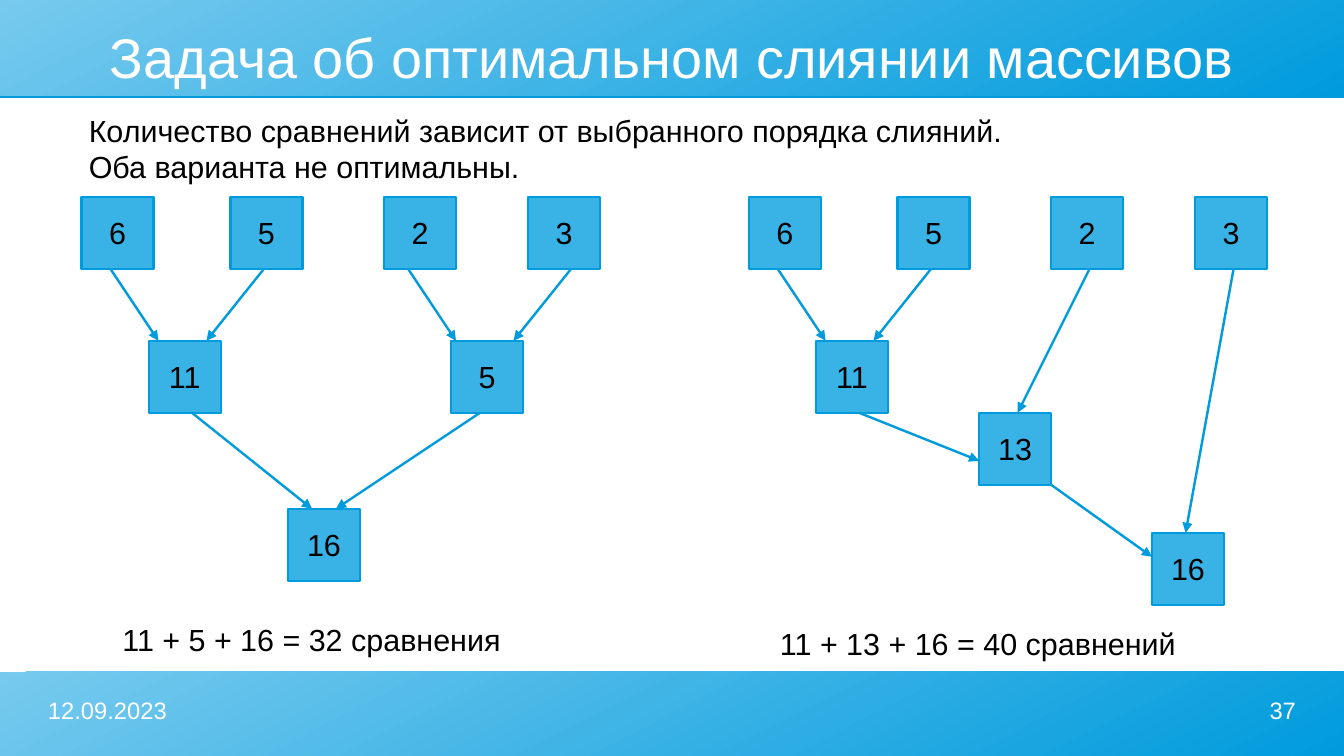
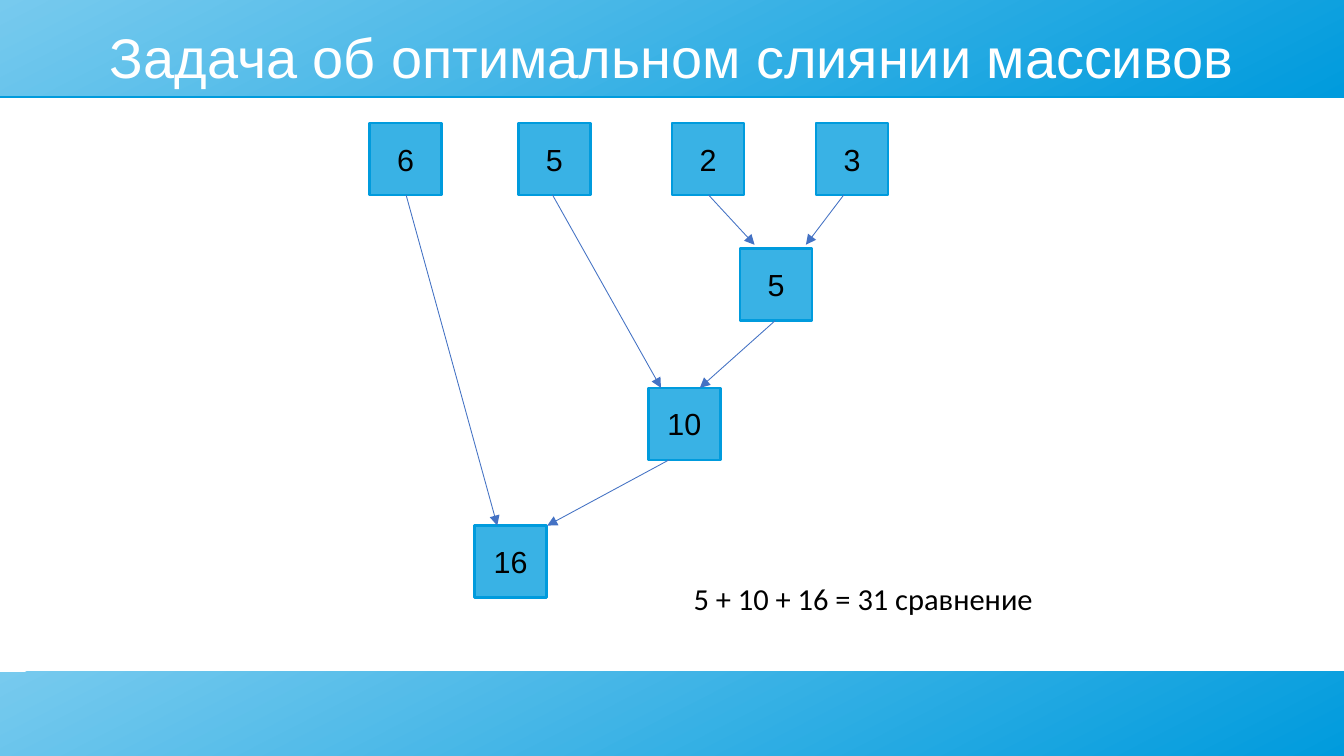
from lxml import etree
from pptx import Presentation
from pptx.dml.color import RGBColor
from pptx.enum.shapes import MSO_CONNECTOR, MSO_SHAPE
from pptx.enum.text import MSO_ANCHOR, PP_ALIGN
from pptx.oxml.ns import qn
from pptx.util import Cm, Pt

LEFT, CENTER, RIGHT = PP_ALIGN.LEFT, PP_ALIGN.CENTER, PP_ALIGN.RIGHT
TOP, MIDDLE = MSO_ANCHOR.TOP, MSO_ANCHOR.MIDDLE
RECT, STRAIGHT = MSO_SHAPE.RECTANGLE, MSO_CONNECTOR.STRAIGHT

COLORS = {
    "light": "77CAEE",
    "accent": "009BDD",
    "node": "39B2E5",
    "thin": "4472C4",
    "text": "000000",
    "white": "FFFFFF",
}
WIDTH, HEIGHT, NODE = 28, 15.75, 1.5
TITLE = "Задача об оптимальном слиянии массивов"
BANDS = [(0, 2), (14, 1.75)]
LEAVES = [(1.7, 0, "6"), (4.8, 0, "5"), (8, 0, "2"), (11, 0, "3")]


def rgb(name):
    return RGBColor.from_string(COLORS[name])


def write(sp, text, size=18, color="text", font="Arial", align=LEFT,
          anchor=TOP, margins=(0.25, 0.13), wrap=True):
    tf = sp.text_frame
    tf.word_wrap = wrap
    tf.vertical_anchor = anchor
    tf.margin_left = tf.margin_right = Cm(margins[0])
    tf.margin_top = tf.margin_bottom = Cm(margins[1])
    for i, line in enumerate(text.split("\n")):
        p = tf.add_paragraph() if i else tf.paragraphs[0]
        p.alignment = align
        r = p.add_run()
        r.text = line
        r.font.size = Pt(size)
        r.font.name = font
        r.font.color.rgb = rgb(color)


pair_arrows = [(2.3, 1.5, 3.3, 3), (5.5, 1.5, 4.3, 3)]
balanced_tree = {
    "origin": (0, 4.1),
    "line": ("accent", 1.42),
    "nodes": [(3.1, 3, "11"), (9.4, 3, "5"), (6, 6.5, "16")],
    "arrows": pair_arrows + [
        (11.9, 1.5, 10.7, 3), (8.5, 1.5, 9.5, 3),
        (4, 4.5, 6.5, 6.5), (10, 4.5, 7, 6.5),
    ],
}
sequential_tree = {
    "origin": (13.9, 4.1),
    "line": ("accent", 1.42),
    "nodes": [(3.1, 3, "11"), (6.5, 4.5, "13"), (10.1, 7, "16")],
    "arrows": pair_arrows + [
        (4, 4.5, 6.5, 5.5), (8.8, 1.5, 7.3, 4.5),
        (8, 6, 10.1, 7.5), (11.8, 1.5, 10.8, 7),
    ],
}
optimal_tree = {
    "origin": (6, 2.56),
    "line": ("thin", 0.5),
    "nodes": [(9.42, 2.62, "5"), (7.51, 5.52, "10"), (3.89, 8.39, "16")],
    "arrows": [
        (8.76, 1.5, 9.72, 2.54), (11.58, 1.5, 10.79, 2.54),
        (5.51, 1.5, 7.77, 5.52), (10.15, 4.12, 8.58, 5.52),
        (2.46, 1.5, 4.36, 8.39), (7.94, 7.02, 5.4, 8.39),
    ],
}

footer = {"size": 14, "color": "white", "margins": (0, 0)}
slides = [
    {
        "trees": [balanced_tree, sequential_tree],
        "texts": [
            (1, 14.5, 6.5, 1, "12.09.2023", footer),
            (20.5, 14.5, 6.5, 1, "37", {**footer, "align": RIGHT}),
            (1.6, 2.2, 25, 1.68,
             "Количество сравнений зависит от выбранного порядка слияний.\n"
             "Оба варианта не оптимальны.", {}),
            (2.3, 12.8, 9, 0.97, "11 + 5 + 16 = 32 сравнения", {}),
            (16, 12.9, 9, 0.97, "11 + 13 + 16 = 40 сравнений", {}),
        ],
    },
    {
        "trees": [optimal_tree],
        "texts": [
            (14.2, 11.96, 8.2, 1.02, "5 + 10 + 16 = 31 сравнение", {"font": "Calibri"}),
        ],
    },
]
title = (1, 0.5, 26, 1.32, TITLE, {
    "size": 33, "color": "white", "align": CENTER, "anchor": MIDDLE, "margins": (0, 0),
})

prs = Presentation()
prs.slide_width, prs.slide_height = Cm(WIDTH), Cm(HEIGHT)

for content in slides:
    s = prs.slides.add_slide(prs.slide_layouts[6])

    for y, h in BANDS:
        sp = s.shapes.add_shape(RECT, 0, Cm(y), Cm(WIDTH), Cm(h))
        sp.line.fill.background()
        sp.fill.gradient()
        sp.fill.gradient_angle = 297
        for stop, name in zip(sp.fill.gradient_stops, ("light", "accent")):
            stop.color.rgb = rgb(name)
        sp.shadow.inherit = False
        effects = sp._element.spPr.find(qn("a:effectLst"))
        shadow = etree.SubElement(effects, qn("a:outerShdw"), blurRad="0",
                                  dist=str(Pt(0.9)), dir="5400000",
                                  algn="ctr", rotWithShape="0")
        etree.SubElement(shadow, qn("a:srgbClr"), val=COLORS["accent"])

    for tree in content["trees"]:
        left, top = tree["origin"]
        for x, y, label in LEAVES + tree["nodes"]:
            sp = s.shapes.add_shape(RECT, Cm(left + x), Cm(top + y), Cm(NODE), Cm(NODE))
            sp.shadow.inherit = False
            sp.fill.solid()
            sp.fill.fore_color.rgb = rgb("node")
            sp.line.color.rgb = rgb("accent")
            sp.line.width = Pt(1.42)
            write(sp, label, align=CENTER, anchor=MIDDLE, wrap=False)

        color, weight = tree["line"]
        for x1, y1, x2, y2 in tree["arrows"]:
            arrow = s.shapes.add_connector(STRAIGHT, Cm(left + x1), Cm(top + y1),
                                           Cm(left + x2), Cm(top + y2))
            arrow.line.color.rgb = rgb(color)
            arrow.line.width = Pt(weight)
            spPr = arrow._element.spPr
            etree.SubElement(spPr.find(qn("a:ln")), qn("a:tailEnd"), type="triangle")
            etree.SubElement(spPr, qn("a:effectLst"))

    for x, y, w, h, text, fmt in [title] + content["texts"]:
        write(s.shapes.add_textbox(Cm(x), Cm(y), Cm(w), Cm(h)), text, **fmt)

prs.save("out.pptx")
